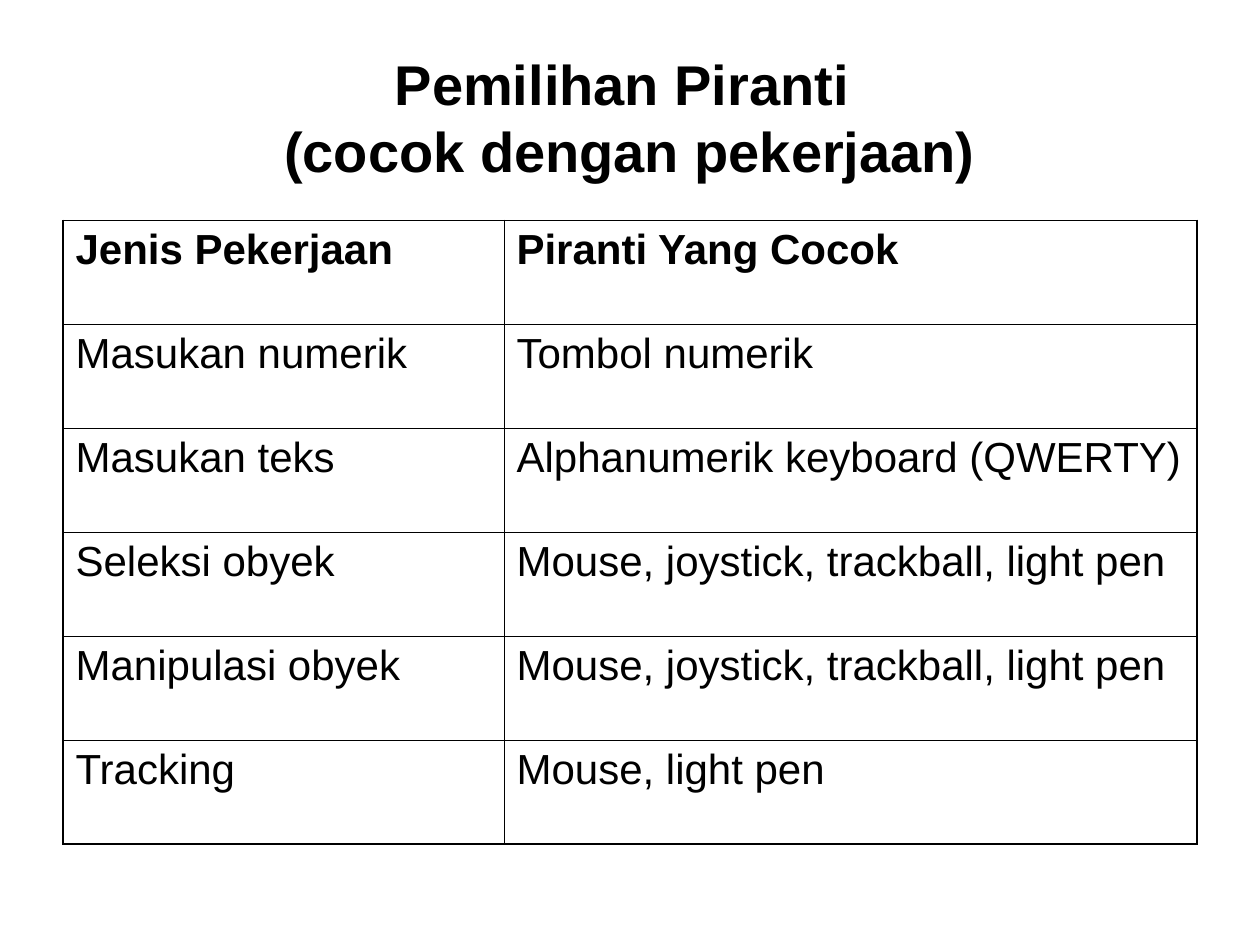
import pptx
import pptx.util
import pptx.dml.color
import pptx.enum.text
import pptx.oxml
import pptx.oxml.ns
from dataclasses import dataclass

# Content
TITLE = "Pemilihan Piranti \v(cocok dengan pekerjaan)"
ROWS = [
    ("Jenis Pekerjaan", "Piranti Yang Cocok"),
    ("Masukan numerik", "Tombol numerik"),
    ("Masukan teks", "Alphanumerik keyboard (QWERTY)"),
    ("Seleksi obyek", "Mouse, joystick, trackball, light pen"),
    ("Manipulasi obyek", "Mouse, joystick, trackball, light pen"),
    ("Tracking", "Mouse, light pen"),
]


@dataclass(frozen=True)
class Theme:
    font: str = "Arial"
    ink: str = "000000"
    title_size: int = 32
    cell_size: int = 24
    space_before: int = 6
    outer_line: float = 1.08
    inner_line: float = 0.45


THEME = Theme()

# Layout in inches
WIDTH, HEIGHT = 10, 7.5
MARGIN = WIDTH * 0.05
CONTENT_WIDTH = WIDTH - 2 * MARGIN
TITLE_TOP, TITLE_HEIGHT = 0.3, 1.25
TABLE_TOP, TABLE_HEIGHT = 1.75, 4.95
COLUMN_WIDTHS = (3.5, 5.5)


def box(*lengths):
    return [pptx.util.Inches(length) for length in lengths]


def format_font(font, size, bold):
    font.name = THEME.font
    font.size = pptx.util.Pt(size)
    font.bold = bold
    font.color.rgb = pptx.dml.color.RGBColor.from_string(THEME.ink)


def set_borders(cell, outer_sides):
    """Draw all four borders, heavier on the sides at the table's edge."""
    properties = cell._tc.get_or_add_tcPr()
    for index, side in enumerate("LRTB"):
        points = THEME.outer_line if side in outer_sides else THEME.inner_line
        line = pptx.oxml.parse_xml(
            f'<a:ln{side} {pptx.oxml.ns.nsdecls("a")} w="{pptx.util.Pt(points)}">'
            f'<a:solidFill><a:srgbClr val="{THEME.ink}"/></a:solidFill></a:ln{side}>'
        )
        properties.insert(index, line)


def add_title(slide):
    title = slide.shapes.title
    title.left, title.top, title.width, title.height = box(
        MARGIN, TITLE_TOP, CONTENT_WIDTH, TITLE_HEIGHT)
    title.text_frame.text = TITLE
    title.text_frame.vertical_anchor = pptx.enum.text.MSO_ANCHOR.MIDDLE
    paragraph = title.text_frame.paragraphs[0]
    paragraph.alignment = pptx.enum.text.PP_ALIGN.CENTER
    format_font(paragraph.font, THEME.title_size, True)


def add_device_table(slide):
    last_row, last_column = len(ROWS) - 1, len(COLUMN_WIDTHS) - 1
    table = slide.shapes.add_table(
        len(ROWS), len(COLUMN_WIDTHS),
        *box(MARGIN, TABLE_TOP, CONTENT_WIDTH, TABLE_HEIGHT)).table
    table.first_row = table.horz_banding = False
    for column, width in zip(table.columns, COLUMN_WIDTHS):
        column.width = pptx.util.Inches(width)
    for row_index, texts in enumerate(ROWS):
        table.rows[row_index].height = pptx.util.Inches(TABLE_HEIGHT / len(ROWS))
        for column_index, text in enumerate(texts):
            cell = table.cell(row_index, column_index)
            cell.text = text
            cell.fill.background()
            paragraph = cell.text_frame.paragraphs[0]
            paragraph.space_before = pptx.util.Pt(THEME.space_before)
            format_font(paragraph.font, THEME.cell_size, row_index == 0)
            edges = {"L": column_index == 0, "R": column_index == last_column,
                     "T": row_index == 0, "B": row_index == last_row}
            set_borders(cell, [side for side, outer in edges.items() if outer])


def main():
    presentation = pptx.Presentation()
    presentation.slide_width, presentation.slide_height = box(WIDTH, HEIGHT)
    slide = presentation.slides.add_slide(
        presentation.slide_layouts.get_by_name("Title Only"))
    add_title(slide)
    add_device_table(slide)
    presentation.save("out.pptx")


if __name__ == "__main__":
    main()
